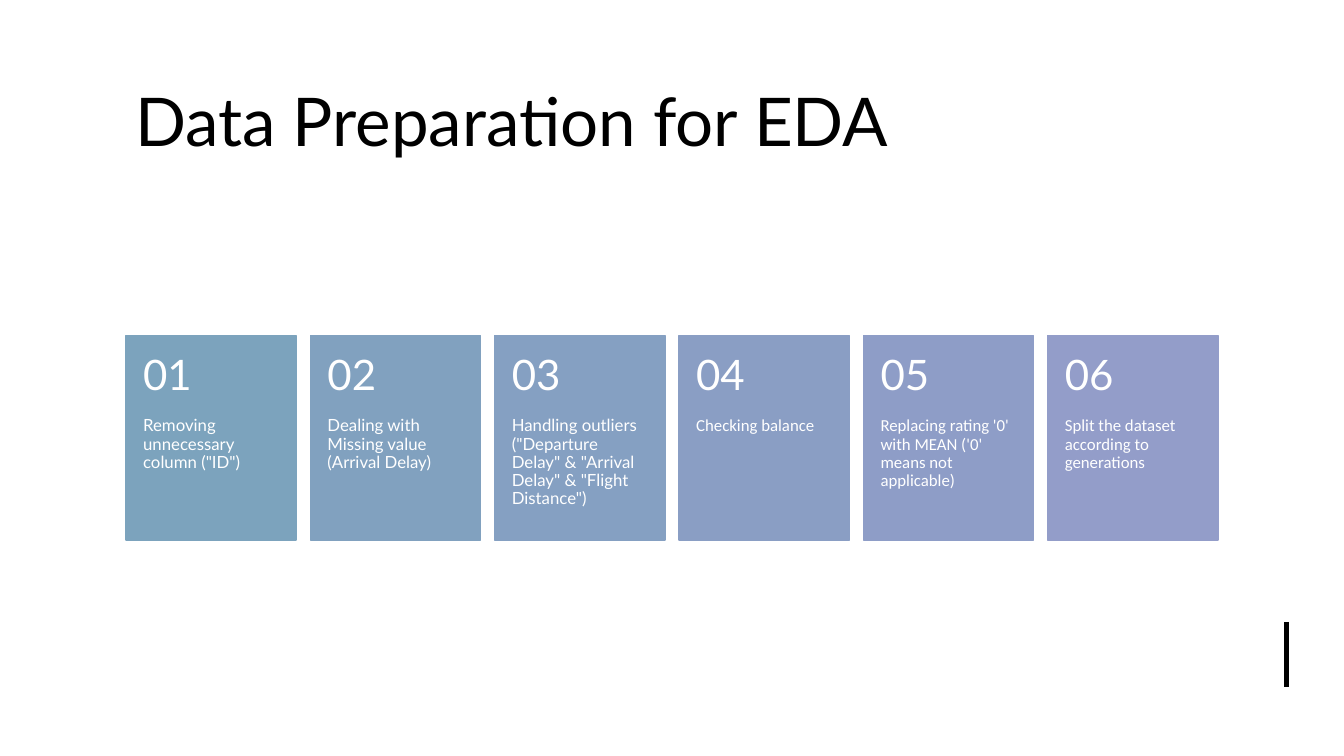
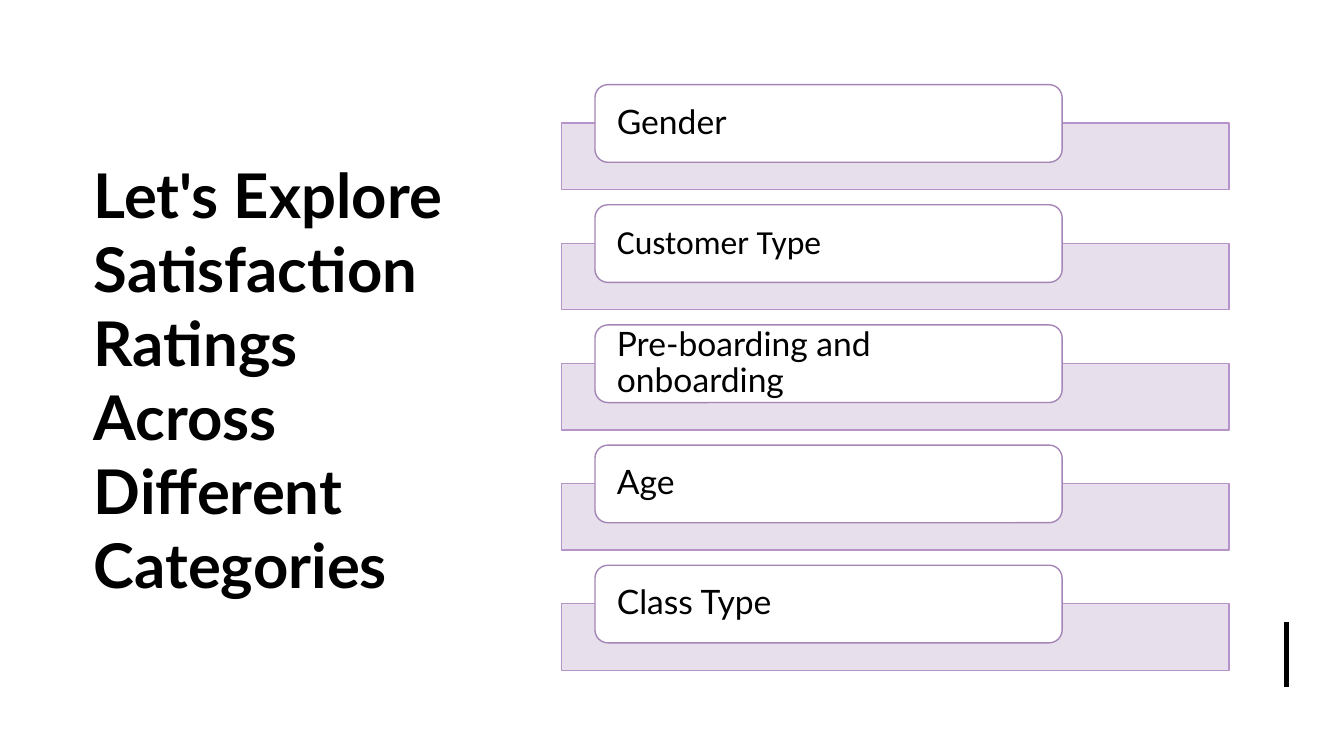
from collections import namedtuple

from pptx import Presentation
from pptx import util as u
from pptx.dml import color
from pptx.enum import shapes, text
from pptx.oxml import parse_xml
from pptx.oxml import ns

Box = namedtuple("Box", "left top width height")

SLIDE_WIDTH, SLIDE_HEIGHT = 13.33, 7.5
TITLE_ONLY = 5
MAIN_FONT, OTHER_FONT = "Lato", "Calibri"
BLACK, WHITE = "000000", "FFFFFF"
BAR_FILL, BAR_LINE, TILE_LINE = "E5DCEB", "B693C9", "A585B6"

STEPS = [
    ('Removing unnecessary column ("ID")', MAIN_FONT, "7CA3BD"),
    ("Dealing with Missing value (Arrival Delay)", MAIN_FONT, "81A1BF"),
    ('Handling outliers ("Departure Delay" & "Arrival Delay" & "Flight Distance")',
     MAIN_FONT, "85A0C2"),
    ("Checking balance", OTHER_FONT, "8A9EC4"),
    ("Replacing rating '0' with MEAN ('0' means not applicable)", OTHER_FONT, "8E9DC7"),
    ("Split the dataset according to generations", OTHER_FONT, "939DC9"),
]
CATEGORIES = [
    ("Gender", MAIN_FONT),
    ("Customer Type", OTHER_FONT),
    ("Pre-boarding and onboarding", MAIN_FONT),
    ("Age", MAIN_FONT),
    ("Class Type", MAIN_FONT),
]


def rgb(value):
    return color.RGBColor.from_string(value)


def inches(box):
    return [u.Inches(length) for length in box]


def split(start, length, count, gap):
    """Return the size of equal cells and the start of each one."""
    size = (length - gap * (count - 1)) / count
    return size, [start + index * (size + gap) for index in range(count)]


def write(shape, words, size, font, colour, insets, anchor, spacing=0.9, bold=False):
    frame = shape.text_frame
    frame.word_wrap = True
    frame.auto_size = text.MSO_AUTO_SIZE.NONE
    frame.vertical_anchor = anchor
    (frame.margin_left, frame.margin_top,
     frame.margin_right, frame.margin_bottom) = inches(insets)
    para = frame.paragraphs[0]
    para.alignment = text.PP_ALIGN.LEFT
    para.line_spacing = spacing
    span = para.add_run()
    span.text = words
    span.font.size = u.Pt(size)
    span.font.name = font
    span.font.bold = bold
    span.font.color.rgb = rgb(colour)


def add_panel(page, kind, box, fill, line):
    panel = page.shapes.add_shape(kind, *inches(box))
    panel.shadow.inherit = False
    panel.fill.solid()
    panel.fill.fore_color.rgb = rgb(fill)
    panel.line.color.rgb = rgb(line)
    panel.line.width = u.Pt(1)
    return panel


def set_opacity(shape, percent):
    fill = shape.fill.fore_color
    node = shape.element.spPr.find(ns.qn("a:solidFill")).find(ns.qn("a:srgbClr"))
    node.append(parse_xml(f'<a:alpha {ns.nsdecls("a")} val="{percent * 1000}"/>'))
    return fill


def add_corner_line(page):
    line = page.shapes.add_connector(
        shapes.MSO_CONNECTOR.STRAIGHT,
        u.Inches(12.76), u.Inches(6.17), u.Inches(12.76), u.Inches(6.82))
    line.line.color.rgb = rgb(BLACK)
    line.line.width = u.Pt(3)
    line.element.spPr.append(parse_xml(f'<a:effectLst {ns.nsdecls("a")}/>'))


def add_page(deck, title, box, size, bold=False):
    """Add a slide with its title and the line in the lower right corner."""
    page = deck.slides.add_slide(deck.slide_layouts[TITLE_ONLY])
    heading = page.shapes.title
    heading.left, heading.top, heading.width, heading.height = inches(box)
    write(heading, title, size, MAIN_FONT, BLACK, (0.1, 0.05, 0.1, 0.05),
          text.MSO_ANCHOR.MIDDLE, spacing=1.0, bold=bold)
    add_corner_line(page)
    return page


def add_step_cards(page, box, steps):
    width, lefts = split(box.left, box.width, len(steps), gap=0.14)
    number_height = box.height * 0.4
    for number, (left, (words, font, fill)) in enumerate(zip(lefts, steps), 1):
        card = add_panel(page, shapes.MSO_SHAPE.RECTANGLE,
                         Box(left, box.top, width, box.height), fill, fill)
        write(card, words, 12, font, WHITE, (0.17, number_height, 0.17, 0),
              text.MSO_ANCHOR.TOP)
        label = page.shapes.add_textbox(
            *inches((left, box.top, width, number_height)))
        write(label, f"{number:02}", 30, MAIN_FONT, WHITE, (0.17, 0.18, 0.17, 0.18),
              text.MSO_ANCHOR.MIDDLE)


def add_category_rows(page, box, categories):
    """Stack rows in which a rounded label overlaps the bar behind it."""
    height, tops = split(box.top, box.height, len(categories), gap=0.15)
    bar_height, tile_height = 0.66, 0.77
    for top, (words, font) in zip(tops, categories):
        bar = add_panel(page, shapes.MSO_SHAPE.RECTANGLE,
                        Box(box.left, top + height - bar_height, box.width, bar_height),
                        BAR_FILL, BAR_LINE)
        set_opacity(bar, 90)
        tile = add_panel(page, shapes.MSO_SHAPE.ROUNDED_RECTANGLE,
                         Box(box.left + box.width * 0.05, top, box.width * 0.7, tile_height),
                         WHITE, TILE_LINE)
        write(tile, words, 24, font, BLACK, (0.18, 0, 0.18, 0), text.MSO_ANCHOR.MIDDLE)


def main():
    deck = Presentation()
    deck.slide_width, deck.slide_height = u.Inches(SLIDE_WIDTH), u.Inches(SLIDE_HEIGHT)

    preparation = add_page(deck, "Data Preparation for EDA",
                           Box(1.24, 0.62, 8.43, 1.13), 48)
    add_step_cards(preparation, Box(1.25, 3.33, 10.83, 2.03), STEPS)

    exploration = add_page(
        deck, "Let's Explore Satisfaction Ratings Across Different Categories",
        Box(0.83, 0.94, 3.77, 5.64), 44, bold=True)
    add_category_rows(exploration, Box(5.57, 0.84, 6.62, 5.81), CATEGORIES)

    deck.save("out.pptx")


if __name__ == "__main__":
    main()
